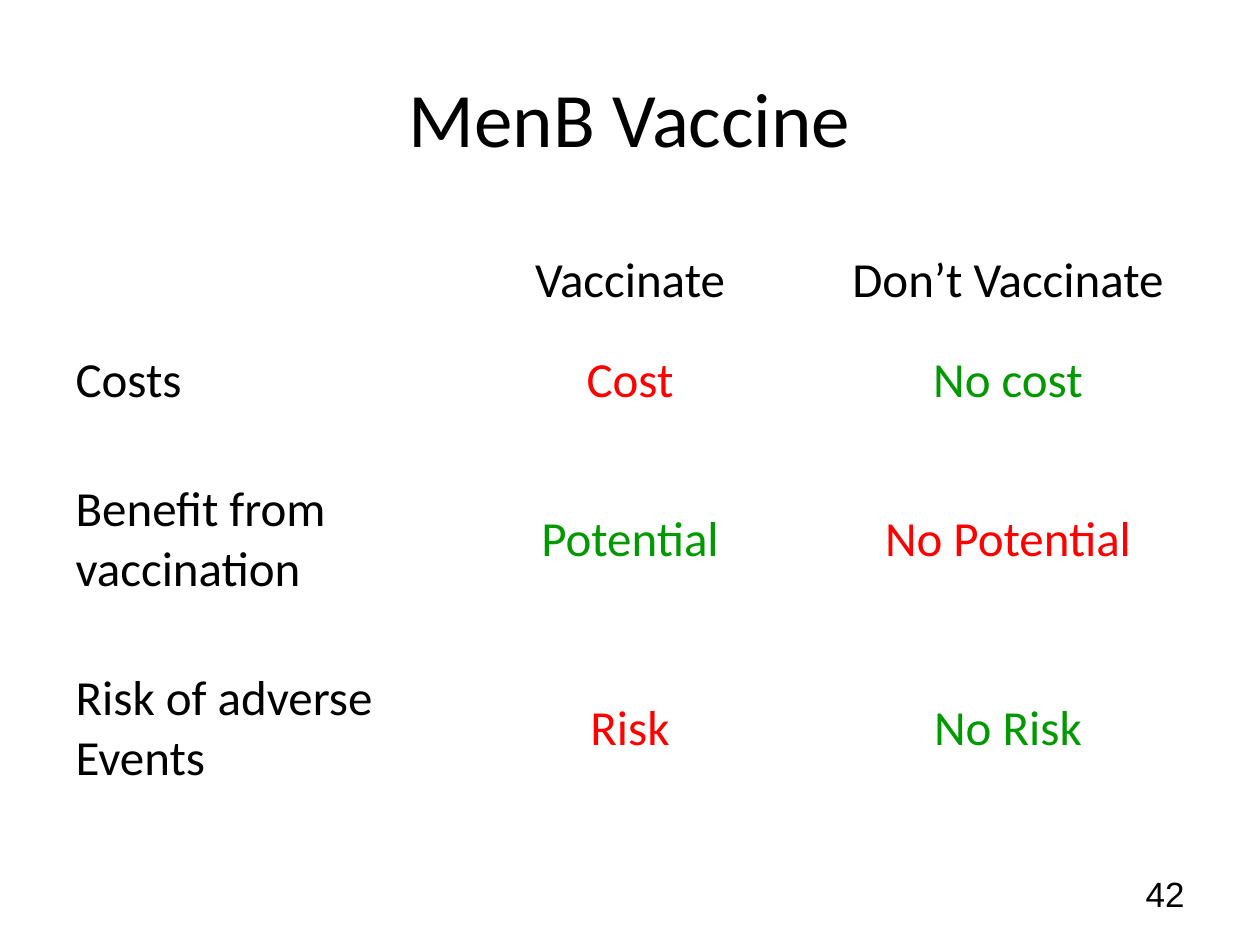
import pptx
import pptx.dml.color
import pptx.enum.text
import pptx.util

Cm = pptx.util.Cm
Pt = pptx.util.Pt
ALIGN = pptx.enum.text.PP_ALIGN
MIDDLE = pptx.enum.text.MSO_ANCHOR.MIDDLE

BLACK = pptx.dml.color.RGBColor(0x00, 0x00, 0x00)
RED = pptx.dml.color.RGBColor(0xFF, 0x00, 0x00)
GREEN = pptx.dml.color.RGBColor(0x00, 0x99, 0x00)

ROW_HEIGHTS = (2.44, 2.62, 3.81, 3.81)
COMPARISON = (
    (("", BLACK), ("Vaccinate", BLACK), ("Don’t Vaccinate", BLACK)),
    (("Costs", BLACK), ("Cost", RED), ("No cost", GREEN)),
    (("Benefit from vaccination", BLACK), ("Potential", GREEN), ("No Potential", RED)),
    (("Risk of adverse Events", BLACK), ("Risk", RED), ("No Risk", GREEN)),
)


def write_text(frame, text, size, color, align, font_name="Calibri"):
    """Fill a text frame with one formatted paragraph."""
    frame.text = text
    frame.word_wrap = True
    frame.vertical_anchor = MIDDLE
    para = frame.paragraphs[0]
    para.alignment = align
    for span in para.runs:
        span.font.name = font_name
        span.font.size = Pt(size)
        span.font.color.rgb = color
    return para


def place_title(page, left, top, width, height):
    """Move the title placeholder into its box and fill it."""
    title = page.shapes.title
    title.left, title.top, title.width, title.height = left, top, width, height
    write_text(title.text_frame, "MenB Vaccine", 44, BLACK, ALIGN.CENTER)


def place_comparison(page, left, top, width, height):
    """Draw the table that compares both choices."""
    columns = len(COMPARISON[0])
    table = page.shapes.add_table(
        len(COMPARISON), columns, left, top, width, height
    ).table
    table.first_row = False
    table.horz_banding = False
    for column in table.columns:
        column.width = width // columns
    for row_index, entries in enumerate(COMPARISON):
        table.rows[row_index].height = Cm(ROW_HEIGHTS[row_index])
        for column_index, (text, color) in enumerate(entries):
            cell = table.cell(row_index, column_index)
            cell.fill.background()
            cell.vertical_anchor = MIDDLE
            if row_index:
                cell.margin_bottom = Cm(1.19)
            align = ALIGN.CENTER if column_index else ALIGN.LEFT
            para = write_text(cell.text_frame, text, 28, color, align)
            para.space_before = Pt(7)
            cell.vertical_anchor = MIDDLE


def place_page_number(page, left, top, width, height):
    """Put the page number in its box."""
    box = page.shapes.add_textbox(left, top, width, height)
    write_text(box.text_frame, "42", 20, BLACK, ALIGN.RIGHT, "Arial")


def main():
    """Build and save the deck."""
    deck = pptx.Presentation()
    deck.slide_width, deck.slide_height = Cm(25.4), Cm(19.05)
    page = deck.slides.add_slide(deck.slide_layouts[5])
    place_title(page, Cm(1.27), Cm(0.76), Cm(22.86), Cm(3.18))
    place_comparison(page, Cm(1.27), Cm(4.45), Cm(22.86), Cm(sum(ROW_HEIGHTS)))
    place_page_number(page, Cm(18.21), Cm(17.35), Cm(5.92), Cm(1.32))
    deck.save("out.pptx")


if __name__ == "__main__":
    main()
